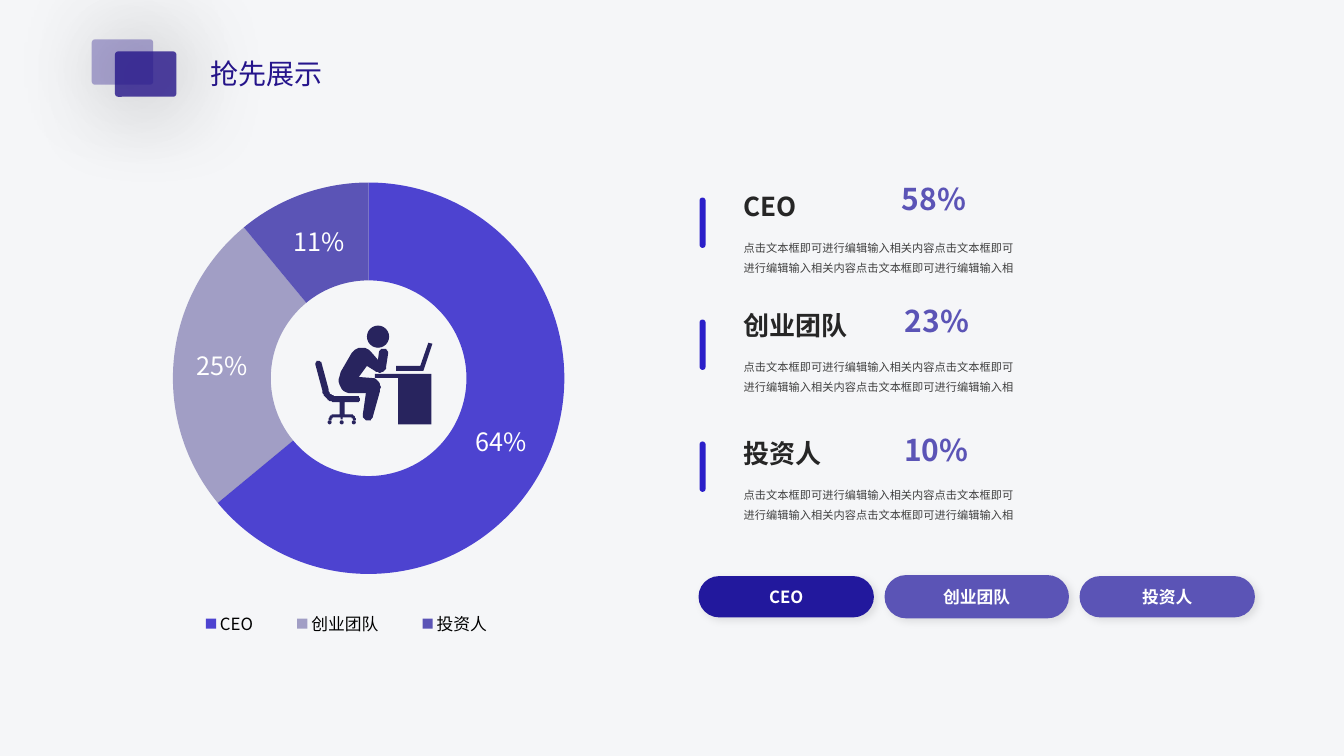
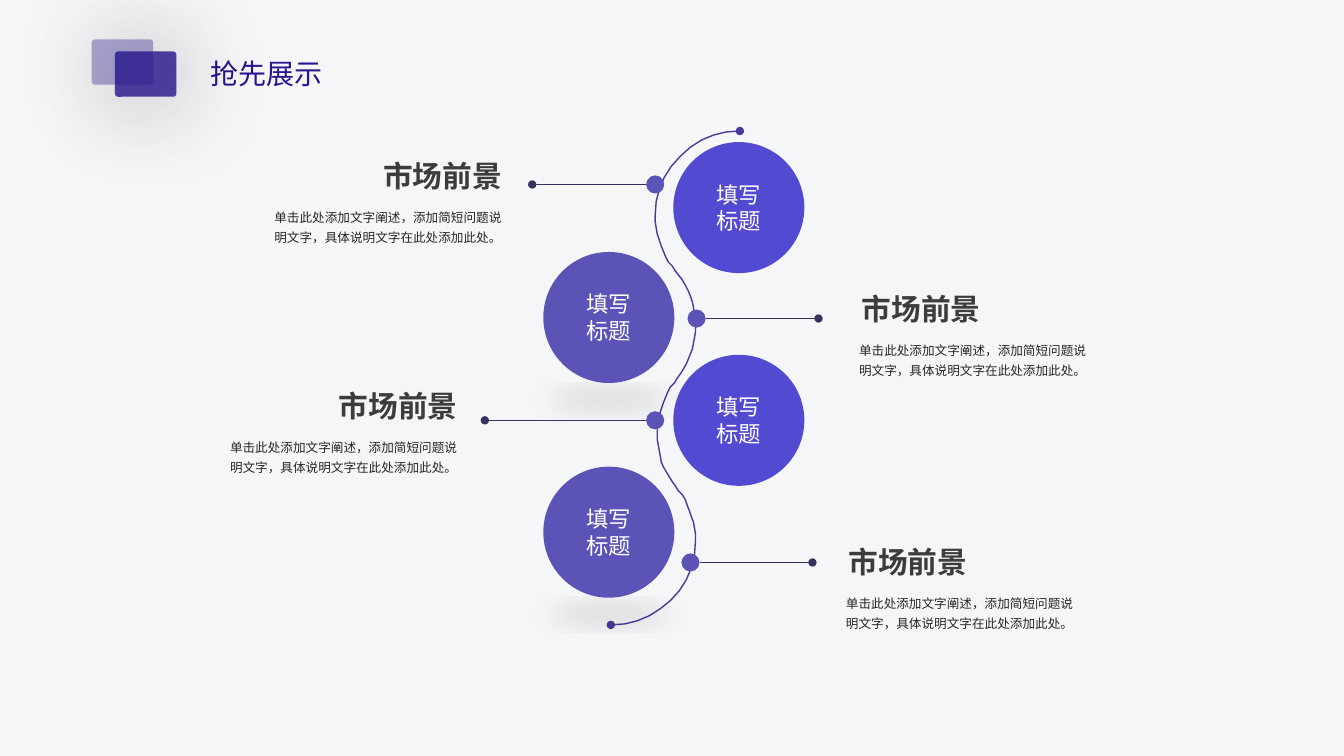
"""Build two slides: a share chart with notes, and a winding chain of four prospects."""
import dataclasses

import lxml.etree
import pptx
import pptx.chart.data
import pptx.dml.color
import pptx.enum.chart
import pptx.enum.shapes
import pptx.enum.text
import pptx.oxml.ns
import pptx.util

COLUMNS, ROWS = 133.33, 75
SHAPES = pptx.enum.shapes.MSO_SHAPE
ALIGN = pptx.enum.text.PP_ALIGN
ANCHOR = pptx.enum.text.MSO_ANCHOR


@dataclasses.dataclass(frozen=True)
class Theme:
    """Fonts, colours and type sizes of the deck."""
    font: str = "Noto Sans CJK SC"
    chart_font: str = "Arial"
    paper: str = "F5F6F8"
    brand: str = "26158C"
    vivid: str = "2B1FC9"
    deep: str = "22189D"
    violet: str = "5B54B6"
    muted: str = "29227D"
    icon: str = "28245E"
    spine: str = "473B9B"
    branch: str = "33335E"
    heading: str = "262626"
    prospect: str = "3C3C3C"
    body: str = "404040"
    white: str = "FFFFFF"
    black: str = "000000"
    title_size: float = 20
    figure_size: float = 21.4
    prospect_size: float = 21.2
    heading_size: float = 18.6
    label_size: float = 18
    circle_size: float = 16
    small_size: float = 12
    detail_size: float = 9
    note_size: float = 8


THEME = Theme()

NOTE = "点击文本框即可进行编辑输入相关内容点击文本框即可进行编辑输入相关内容点击文本框即可进行编辑输入相"
DETAIL = "单击此处添加文字阐述，添加简短问题说明文字，具体说明文字在此处添加此处。"
GROUPS = ("CEO", "创业团队", "投资人")

LAPTOP = [(80, 45), (107, 45), (116, 18), (112, 17), (104, 40), (80, 40)]
DESK = [(59, 48), (115, 48), (115, 98), (82, 98), (82, 52), (59, 52)]
SITTER = [
    (59, 45), (51, 40), (43, 51), (56, 52), (63, 53, 66, 58, 64, 65), (57, 90),
    (56, 93, 54, 95, 51, 94), (48, 93, 46, 91, 47, 88), (50, 67), (35, 67),
    (27, 68, 19, 58, 25, 46), (36, 27), (41, 20, 49, 20, 55, 26), (62, 34), (63, 26),
    (64, 24, 66, 22, 68, 23), (71, 23, 72, 26, 72, 28), (70, 41), (69, 47, 63, 48, 59, 45)]
CHAIR = [
    (2, 35), (4, 35, 6, 36, 6, 37), (13, 63), (13, 65, 14, 67, 15, 68),
    (17, 69, 18, 70, 21, 70), (41, 70), (43, 70, 44, 72, 44, 73), (44, 75, 43, 76, 41, 76),
    (29, 76), (29, 88), (35, 88), (38, 88, 40, 91, 40, 93), (40, 94), (37, 94), (37, 93),
    (37, 92, 36, 91, 35, 91), (27, 91), (27, 93), (25, 93), (25, 91), (18, 91),
    (17, 91, 16, 92, 16, 93), (16, 94), (13, 94), (13, 93), (13, 91, 15, 88, 18, 88),
    (24, 88), (24, 76), (21, 76), (17, 76, 13, 75, 11, 72), (9, 70, 7, 68, 7, 65),
    (0, 39), (0, 37, 1, 35, 2, 35)]
SPINE = [
    (606, 620), (652, 620, 690, 583, 690, 536), (690, 516, 682, 497, 670, 482),
    (658, 468, 652, 449, 652, 430), (652, 409, 660, 390, 672, 375),
    (683, 361, 690, 343, 690, 323), (690, 303, 683, 284, 670, 269),
    (658, 254, 650, 235, 650, 214), (650, 168, 688, 130, 734, 130)]


def cells(count):
    """Turn a number of grid cells, a tenth of an inch each, into a length."""
    return pptx.util.Inches(count / 10)


def rgb(code):
    """Turn a hex code into a colour."""
    return pptx.dml.color.RGBColor.from_string(code)


def add_child(parent, tag, **attributes):
    """Append an XML child with the given attributes."""
    values = {name: str(value) for name, value in attributes.items()}
    return lxml.etree.SubElement(parent, pptx.oxml.ns.qn(tag), values)


def paint(fill, color, opacity=100):
    """Apply a solid fill with an opacity in percent."""
    fill.solid()
    fill.fore_color.rgb = rgb(color)
    if opacity < 100:
        solid = fill._xPr.xpath("./a:solidFill/a:srgbClr")[0]
        add_child(solid, "a:alpha", val=opacity * 1000)


def style_font(font, size, color, bold=False, name=THEME.font):
    """Set size, colour, weight and typeface."""
    font.size, font.bold, font.name = pptx.util.Pt(size), bold, name
    font.color.rgb = rgb(color)
    add_child(font._rPr, "a:ea", typeface=name)


def write(frame, text, size, color, bold=False, align=ALIGN.LEFT, anchor=ANCHOR.TOP, spacing=1.0):
    """Fill a text frame, one paragraph for each line of text."""
    frame.word_wrap, frame.vertical_anchor = True, anchor
    for index, line in enumerate(text.split("\n")):
        para = frame.add_paragraph() if index else frame.paragraphs[0]
        para.alignment, para.line_spacing = align, spacing
        span = para.add_run()
        span.text = line
        style_font(span.font, size, color, bold)


def add_text(page, text, left, top, width, height, **style):
    """Add a text box placed on the grid."""
    box = page.shapes.add_textbox(*map(cells, (left, top, width, height)))
    write(box.text_frame, text, **style)


def cast_shadow(shape, opacity, blur, angle, **scale):
    """Give a shape an outer shadow three points away."""
    effects = shape._element.spPr.find(pptx.oxml.ns.qn("a:effectLst"))
    outer = add_child(effects, "a:outerShdw", blurRad=pptx.util.Pt(blur), dist=pptx.util.Pt(3),
                      dir=angle * 60000, **scale, rotWithShape=0)
    tint = add_child(outer, "a:srgbClr", val=THEME.black)
    add_child(tint, "a:alpha", val=opacity * 1000)


def add_block(parent, kind, left, top, width, height, color, opacity=100, corner=None):
    """Add a plain filled preset shape placed on the grid."""
    shape = parent.shapes.add_shape(kind, *map(cells, (left, top, width, height)))
    paint(shape.fill, color, opacity)
    shape.line.fill.background()
    shape.shadow.inherit = False
    if corner is not None:
        shape.adjustments[0] = corner
    return shape


def trace(steps, pieces=10):
    """Flatten line and cubic curve steps into points."""
    points = [steps[0]]
    for step in steps[1:]:
        if len(step) == 2:
            points.append(step)
            continue
        nodes = [points[-1], step[:2], step[2:4], step[4:]]
        for piece in range(1, pieces + 1):
            t = piece / pieces
            weights = ((1 - t) ** 3, 3 * t * (1 - t) ** 2, 3 * t * t * (1 - t), t ** 3)
            points.append(tuple(sum(w * node[axis] for w, node in zip(weights, nodes))
                                for axis in (0, 1)))
    return points


def add_outline(parent, steps, left=0, top=0, close=True):
    """Add a freeform whose steps are in hundredths of an inch."""
    points = trace(steps)
    builder = parent.shapes.build_freeform(*points[0], scale=float(cells(0.1)))
    builder.add_line_segments(points[1:], close=close)
    shape = builder.convert_to_shape(cells(left), cells(top))
    shape.shadow.inherit = False
    return shape


def stroke(line, color, *ends):
    """Draw a one-point line with oval marks at the named ends."""
    line.width = pptx.util.Pt(1)
    line.color.rgb = rgb(color)
    for end in ends:
        add_child(line._get_or_add_ln(), end, type="oval")


def add_branch(page, start, end, row):
    """Add a level line that ends in an oval."""
    line = page.shapes.add_connector(pptx.enum.shapes.MSO_CONNECTOR.STRAIGHT,
                                     *map(cells, (start, row, end, row)))
    stroke(line.line, THEME.branch, "a:tailEnd")
    add_child(line._element.spPr, "a:effectLst")


def add_page(deck, title):
    """Add a title-only page with the twin-card emblem."""
    page = deck.slides.add_slide(deck.slide_layouts[5])
    for left, top, opacity in ((11.4, 5.1, 80), (9.1, 3.9, 35)):
        card = add_block(page, SHAPES.ROUNDED_RECTANGLE, left, top, 6.1, 4.5,
                         THEME.brand, opacity, corner=0.07)
        cast_shadow(card, 40, 70, 45)
    box = page.shapes.title
    box.left, box.top, box.width, box.height = map(cells, (19.9, 5.1, 31.5, 4.4))
    write(box.text_frame, title, THEME.title_size, THEME.brand,
          align=ALIGN.JUSTIFY, anchor=ANCHOR.MIDDLE)
    return page


def place_part(part, position, frame, inner=False):
    """Fix a chart part at shares of the chart's size."""
    for old in part.findall(pptx.oxml.ns.qn("c:layout")):
        part.remove(old)
    layout = add_child(part, "c:layout")
    part.insert(position, layout)
    manual = add_child(layout, "c:manualLayout")
    if inner:
        add_child(manual, "c:layoutTarget", val="inner")
    for mode in ("c:xMode", "c:yMode"):
        add_child(manual, mode, val="edge")
    for name, share in zip("xywh", frame):
        add_child(manual, "c:" + name, val=share)


def add_share_chart(page):
    """Add the doughnut chart of the three groups."""
    data = pptx.chart.data.CategoryChartData()
    data.categories = GROUPS
    data.add_series("Series 1", (64, 25, 11))
    chart = page.shapes.add_chart(pptx.enum.chart.XL_CHART_TYPE.DOUGHNUT,
                                  *map(cells, (8.4, 15.6, 54.7, 48.2)), data).chart
    chart.has_title = False
    style_font(chart.font, THEME.label_size, THEME.black, name=THEME.chart_font)
    chart.has_legend = True
    chart.legend.position = pptx.enum.chart.XL_LEGEND_POSITION.BOTTOM
    chart.legend.include_in_layout = False
    style_font(chart.legend.font, THEME.small_size, THEME.black)
    plot = chart.plots[0]
    plot.has_data_labels = True
    labels = plot.data_labels
    labels.show_percentage, labels.show_value = True, False
    labels.number_format, labels.number_format_is_linked = "0%", False
    style_font(labels.font, THEME.label_size, THEME.white)
    colors = ((THEME.vivid, 83), (THEME.muted, 41), (THEME.violet, 100))
    for index, (color, opacity) in enumerate(colors):
        ring = plot.series[0].points[index].format
        paint(ring.fill, color, opacity)
        ring.line.fill.background()
    chart.element.xpath(".//c:holeSize")[0].set("val", "56")
    place_part(chart.element.xpath(".//c:plotArea")[0], 0, (0.16, 0.05, 0.71, 0.81), inner=True)
    place_part(chart.element.xpath(".//c:legend")[0], 1, (0.15, 0.92, 0.65, 0.08))


def add_worker_icon(page, left, top):
    """Add a grouped pictogram of a person at a desk."""
    group = page.shapes.add_group_shape()
    for steps in (LAPTOP, DESK, SITTER, CHAIR):
        part = add_outline(group, steps, left, top)
        paint(part.fill, THEME.icon)
        part.line.fill.background()
    for x, y, size in ((5.1, 0, 2.2), (1.2, 9.4, 0.4), (2.4, 9.4, 0.4), (3.6, 9.4, 0.4)):
        add_block(group, SHAPES.OVAL, left + x, top + y, size, size, THEME.icon)


def add_group_note(page, name, share, bar_top, top, share_left, share_top):
    """Add a bar, a heading, a share and a note."""
    add_block(page, SHAPES.ROUNDED_RECTANGLE, 69.4, bar_top, 0.6, 5, THEME.vivid, corner=0.5)
    add_text(page, name, 72.8, top, 13.6, 4.2,
             size=THEME.heading_size, color=THEME.heading, bold=True)
    add_text(page, share, share_left, share_top, 10, 4.7, size=THEME.figure_size,
             color=THEME.violet, bold=True, anchor=ANCHOR.MIDDLE)
    add_text(page, NOTE, 72.8, top + 4.4, 29.4, 5,
             size=THEME.note_size, color=THEME.body, spacing=1.5)


def add_pill(page, name, center, width, height, color):
    """Add a rounded button with its label."""
    pill = add_block(page, SHAPES.ROUNDED_RECTANGLE, center - width / 2, 59.2 - height / 2,
                     width, height, color, corner=0.5)
    cast_shadow(pill, 10, 6, 45)
    write(pill.text_frame, name, THEME.small_size, THEME.white, bold=True,
          align=ALIGN.CENTER, anchor=ANCHOR.MIDDLE)


def add_prospect(page, circle, knot, end, heading):
    """Add a circle, its knot on the spine, a branch and the text beside it."""
    on_left = end < knot[0]
    add_block(page, SHAPES.OVAL, *knot, 1.8, 1.8, THEME.violet)
    add_branch(page, knot[0] + (0 if on_left else 1.8), end, knot[1] + 0.9)
    color, opacity = (THEME.vivid, 80) if on_left else (THEME.violet, 100)
    disc = add_block(page, SHAPES.OVAL, *circle, 13, 13, color, opacity)
    if not on_left:
        cast_shadow(disc, 10, 19, 90, sx=90000, sy=-19000, algn="b")
    write(disc.text_frame, "填写\n标题", THEME.circle_size, THEME.white,
          align=ALIGN.CENTER, anchor=ANCHOR.MIDDLE)
    left, top = heading
    add_text(page, "市场前景", left, top, 29.7, 4.6, size=THEME.prospect_size,
             color=THEME.prospect, bold=True, align=ALIGN.RIGHT if on_left else ALIGN.LEFT)
    add_text(page, DETAIL, left + (4.1 if on_left else -1.3), top + 4.7, 25.5, 4.9,
             size=THEME.detail_size, color=THEME.heading, align=ALIGN.RIGHT, spacing=1.3)


def build_shares(deck):
    """Build the page with the chart and the three groups."""
    page = add_page(deck, "抢先展示")
    add_share_chart(page)
    add_worker_icon(page, 31.3, 32.3)
    notes = (("58%", 18.4, 88.5, 17.3), ("23%", 30.2, 88.8, 29.5), ("10%", 42.9, 88.7, 42.2))
    for index, (name, note) in enumerate(zip(GROUPS, notes)):
        share, top, share_left, share_top = note
        add_group_note(page, name, share, 19.6 + 12.1 * index, top, share_left, share_top)
    pills = ((78, 17.4, 4.1, THEME.deep), (96.9, 18.3, 4.3, THEME.violet),
             (115.8, 17.4, 4.1, THEME.violet))
    for name, pill in zip(GROUPS, pills):
        add_pill(page, name, *pill)


def build_prospects(deck):
    """Build the page with the winding chain of circles."""
    page = add_page(deck, "抢先展示")
    spine = add_outline(page, SPINE, close=False)
    spine.fill.background()
    stroke(spine.line, THEME.spine, "a:headEnd", "a:tailEnd")
    add_prospect(page, (66.8, 14.1), (64.1, 17.4), 52.8, (21.1, 15.2))
    add_prospect(page, (53.9, 25), (68.2, 30.7), 81.2, (84.5, 28.4))
    add_prospect(page, (66.8, 35.2), (64.1, 40.8), 48.1, (16.7, 38))
    add_prospect(page, (53.9, 46.3), (67.6, 54.9), 80.6, (83.2, 53.5))


def main():
    """Build and save the deck."""
    deck = pptx.Presentation()
    deck.slide_width, deck.slide_height = cells(COLUMNS), cells(ROWS)
    paint(deck.slide_master.background.fill, THEME.paper)
    build_shares(deck)
    build_prospects(deck)
    deck.save("out.pptx")


if __name__ == "__main__":
    main()
